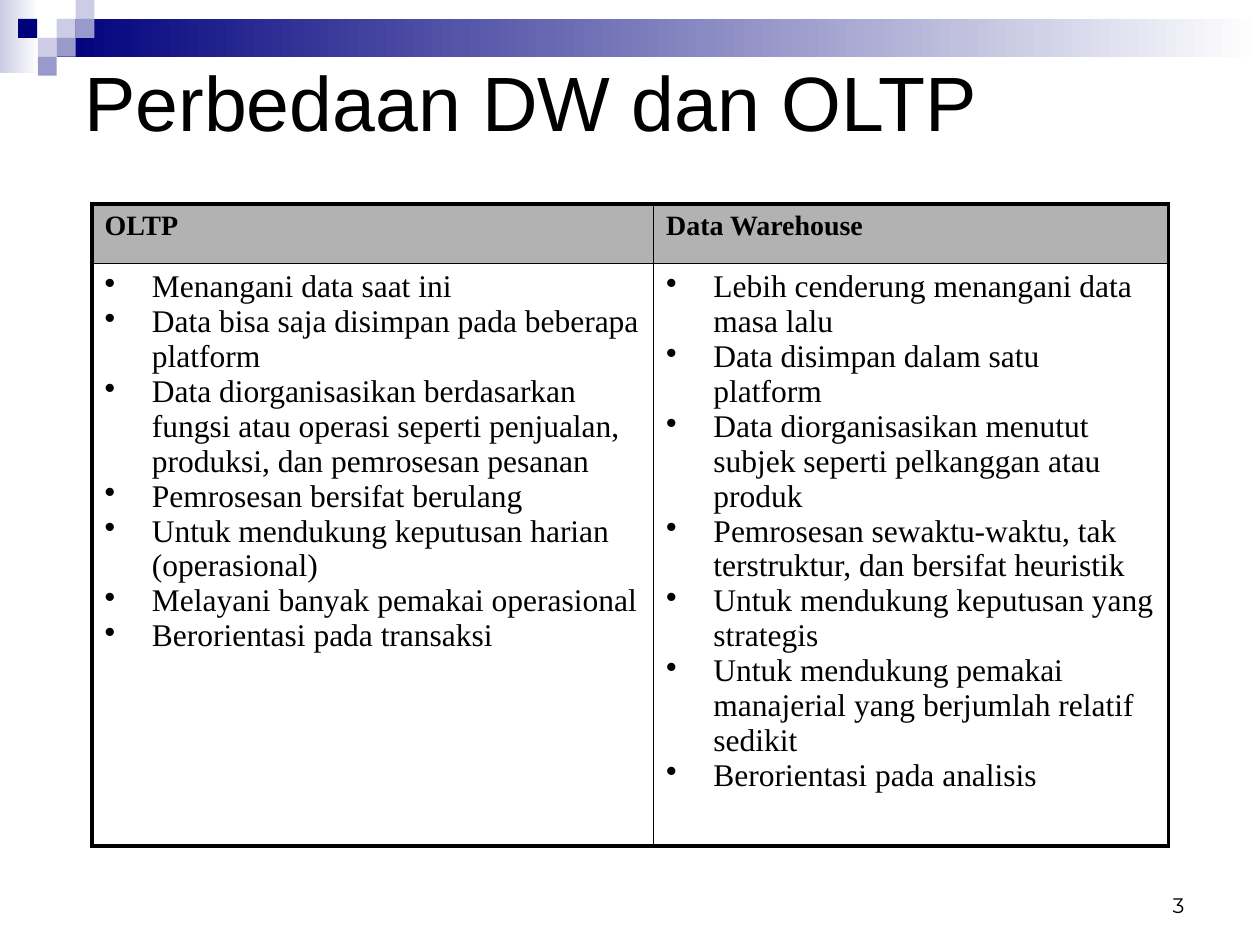
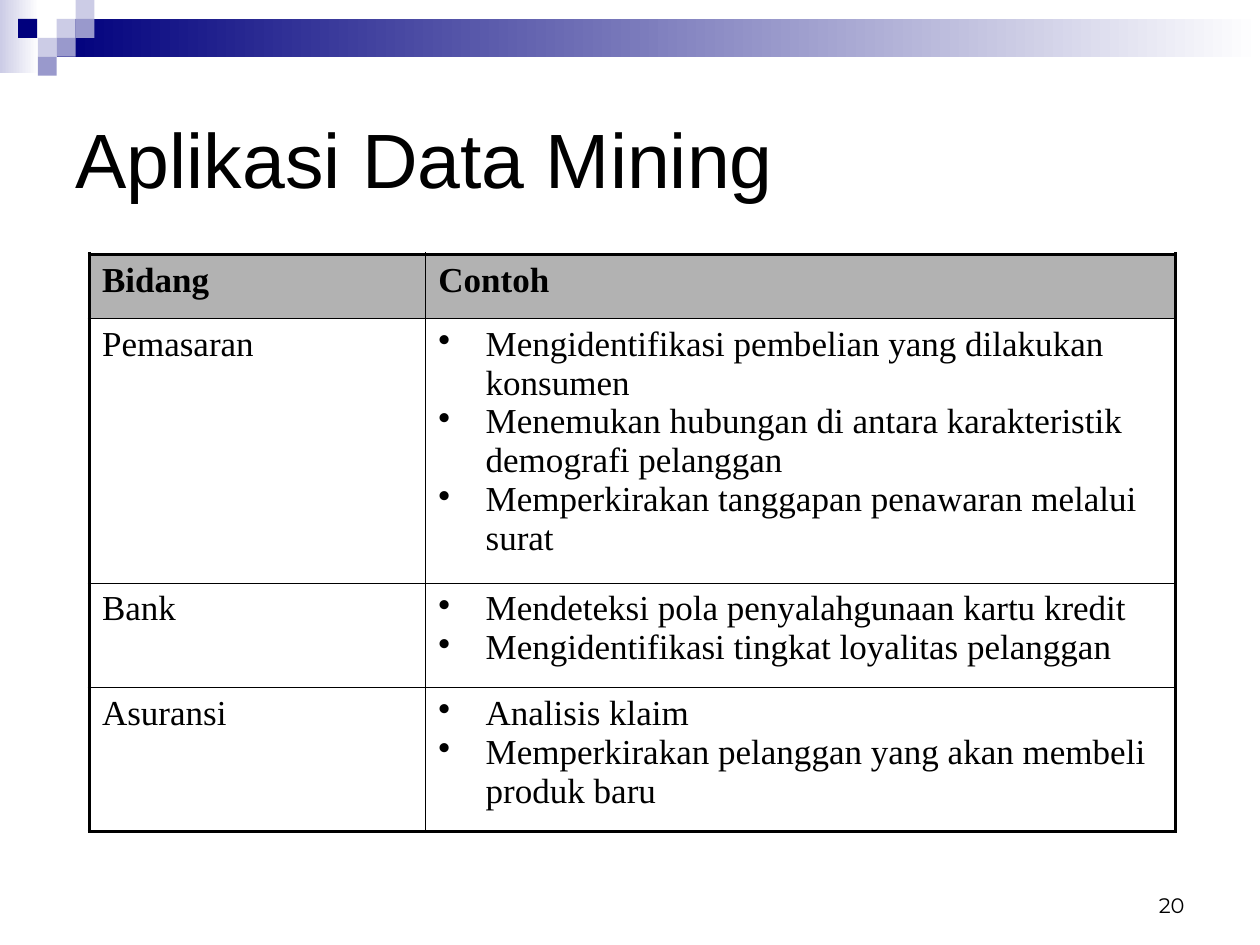
"""Build two slides comparing OLTP with data warehouses and listing data mining uses."""
from lxml.etree import SubElement
from pptx import Presentation
from pptx.dml.color import RGBColor
from pptx.enum.shapes import MSO_SHAPE as Shape
from pptx.enum.text import MSO_ANCHOR as Anchor, MSO_AUTO_SIZE as AutoSize, PP_ALIGN as Align
from pptx.oxml.ns import qn
from pptx.util import Pt

COLORS = {
    "navy": "00007D",
    "violet": "9999CC",
    "lilac": "CCCCE6",
    "white": "FFFFFF",
    "header": "B2B2B2",
    "text": "000000",
}

SLIDES = [
    {
        "title": "Perbedaan DW dan OLTP",
        "title_at": (41, 3.6),
        "page": "3",
        "table_at": (52.6, 116.6),
        "columns": (320.9, 294.2),
        "row_heights": (34, 332.8),
        "header_size": 16,
        "body_size": 18,
        "rows": [
            ("OLTP", "Data Warehouse"),
            (
                [
                    "Menangani data saat ini",
                    "Data bisa saja disimpan pada beberapa platform",
                    "Data diorganisasikan berdasarkan fungsi atau operasi seperti "
                    "penjualan, produksi, dan pemrosesan pesanan",
                    "Pemrosesan bersifat berulang",
                    "Untuk mendukung keputusan harian (operasional)",
                    "Melayani banyak pemakai operasional",
                    "Berorientasi pada transaksi",
                ],
                [
                    "Lebih cenderung menangani data masa lalu",
                    "Data disimpan dalam satu platform",
                    "Data diorganisasikan menutut subjek seperti pelkanggan atau produk",
                    "Pemrosesan sewaktu-waktu, tak terstruktur, dan bersifat heuristik",
                    "Untuk mendukung keputusan yang strategis",
                    "Untuk mendukung pemakai manajerial yang berjumlah relatif sedikit",
                    "Berorientasi pada analisis",
                ],
            ),
        ],
    },
    {
        "title": "Aplikasi Data Mining",
        "title_at": (36, 36),
        "page": "20",
        "table_at": (51.1, 145.4),
        "columns": (192.2, 428.4),
        "row_heights": (36.7, 151.2, 59.8, 82.1),
        "header_size": 20,
        "body_size": 20,
        "rows": [
            ("Bidang", "Contoh"),
            (
                "Pemasaran",
                [
                    "Mengidentifikasi pembelian yang dilakukan konsumen",
                    "Menemukan hubungan di antara karakteristik demografi pelanggan",
                    "Memperkirakan tanggapan penawaran melalui surat",
                ],
            ),
            (
                "Bank",
                [
                    "Mendeteksi pola penyalahgunaan kartu kredit",
                    "Mengidentifikasi tingkat loyalitas pelanggan",
                ],
            ),
            (
                "Asuransi",
                [
                    "Analisis klaim",
                    "Memperkirakan pelanggan yang akan membeli produk baru",
                ],
            ),
        ],
    },
]

BANDS = [
    ((0, 0, 22.3, 41.8), "lilac"),
    ((32.4, 10.8, 687.6, 21.6), "navy"),
]
TILE = 10.8
TILES = [
    (32.4, 10.8, "lilac"),
    (43.2, 0, "lilac"),
    (43.2, 10.8, "violet"),
    (21.6, 21.6, "lilac"),
    (10.4, 10.8, "navy"),
    (32.4, 21.6, "violet"),
    (21.6, 32.4, "violet"),
]
TITLE_SIZE = (648, 108)
PAGE_BOX = (516.2, 491.8, 167.8, 36)
OUTER_LINE, INNER_LINE = 2.5, 0.45
HANGING = 27

TITLE_FONT = {"name": "Arial", "size": Pt(44), "bold": False}
PAGE_FONT = {"name": "Montserrat", "size": Pt(12), "bold": False}
TITLE_FRAME = {"vertical_anchor": Anchor.MIDDLE, "auto_size": AutoSize.NONE, "word_wrap": True}
PAGE_FRAME = {"vertical_anchor": Anchor.BOTTOM, "word_wrap": True}
PLAIN_TABLE = {"first_row": False, "horz_banding": False}


def rgb(name):
    return RGBColor.from_string(COLORS[name])


def points(values):
    return [Pt(value) for value in values]


def apply(target, formats):
    for attribute, value in formats.items():
        setattr(target, attribute, value)


def write(paragraph, text, font, align=Align.LEFT):
    paragraph.alignment = align
    run = paragraph.add_run()
    run.text = text
    apply(run.font, font)
    run.font.color.rgb = rgb("text")


def add_block(slide, place):
    block = slide.shapes.add_shape(Shape.RECTANGLE, *points(place))
    block.shadow.inherit = False
    block.line.fill.background()
    return block.fill


def decorate(slide):
    for place, color in BANDS:
        fill = add_block(slide, place)
        fill.gradient()
        fill.gradient_angle = 0
        for stop, name in zip(fill.gradient_stops, (color, "white")):
            stop.color.rgb = rgb(name)
    for left, top, color in TILES:
        fill = add_block(slide, (left, top, TILE, TILE))
        fill.solid()
        fill.fore_color.rgb = rgb(color)


def add_title(slide, text, position):
    title = slide.shapes.title
    title.element.getparent().append(title.element)
    apply(title, dict(zip(("left", "top", "width", "height"), points(position + TITLE_SIZE))))
    apply(title.text_frame, TITLE_FRAME)
    write(title.text_frame.paragraphs[0], text, TITLE_FONT)


def add_page_number(slide, number):
    frame = slide.shapes.add_textbox(*points(PAGE_BOX)).text_frame
    apply(frame, PAGE_FRAME)
    write(frame.paragraphs[0], number, PAGE_FONT, Align.RIGHT)


def add_bullet(paragraph):
    properties = paragraph._p.get_or_add_pPr()
    properties.set("marL", str(Pt(HANGING)))
    properties.set("indent", str(Pt(-HANGING)))
    color = SubElement(properties, qn("a:buClr"))
    SubElement(color, qn("a:srgbClr"), val=COLORS["text"])
    SubElement(properties, qn("a:buChar"), char="•")


def add_borders(cell, outer_sides):
    properties = cell._tc.get_or_add_tcPr()
    for side, is_outer in outer_sides.items():
        width = Pt(OUTER_LINE if is_outer else INNER_LINE)
        line = SubElement(properties, qn(f"a:ln{side}"), w=str(width))
        fill = SubElement(line, qn("a:solidFill"))
        SubElement(fill, qn("a:srgbClr"), val=COLORS["text"])


def fill_cell(cell, content, font):
    is_list = isinstance(content, list)
    frame = cell.text_frame
    for index, text in enumerate(content if is_list else [content]):
        paragraph = frame.add_paragraph() if index else frame.paragraphs[0]
        if is_list:
            add_bullet(paragraph)
        write(paragraph, text, font)


def add_comparison(slide, content):
    rows, columns, heights = content["rows"], content["columns"], content["row_heights"]
    place = (*content["table_at"], sum(columns), sum(heights))
    table = slide.shapes.add_table(len(rows), len(columns), *points(place)).table
    apply(table, PLAIN_TABLE)
    for column, width in zip(table.columns, columns):
        column.width = Pt(width)
    for r, (row, height) in enumerate(zip(rows, heights)):
        table.rows[r].height = Pt(height)
        is_header = r == 0
        size = content["header_size" if is_header else "body_size"]
        font = {"name": "Times New Roman", "size": Pt(size), "bold": is_header}
        for c, text in enumerate(row):
            cell = table.cell(r, c)
            add_borders(cell, {
                "L": c == 0,
                "R": c == len(columns) - 1,
                "T": is_header,
                "B": r == len(rows) - 1,
            })
            if is_header:
                cell.fill.solid()
                cell.fill.fore_color.rgb = rgb("header")
            else:
                cell.fill.background()
            fill_cell(cell, text, font)


def main():
    deck = Presentation()
    apply(deck, {"slide_width": Pt(720), "slide_height": Pt(540)})
    for content in SLIDES:
        slide = deck.slides.add_slide(deck.slide_layouts[5])
        decorate(slide)
        add_page_number(slide, content["page"])
        add_title(slide, content["title"], content["title_at"])
        add_comparison(slide, content)
    deck.save("out.pptx")


if __name__ == "__main__":
    main()
